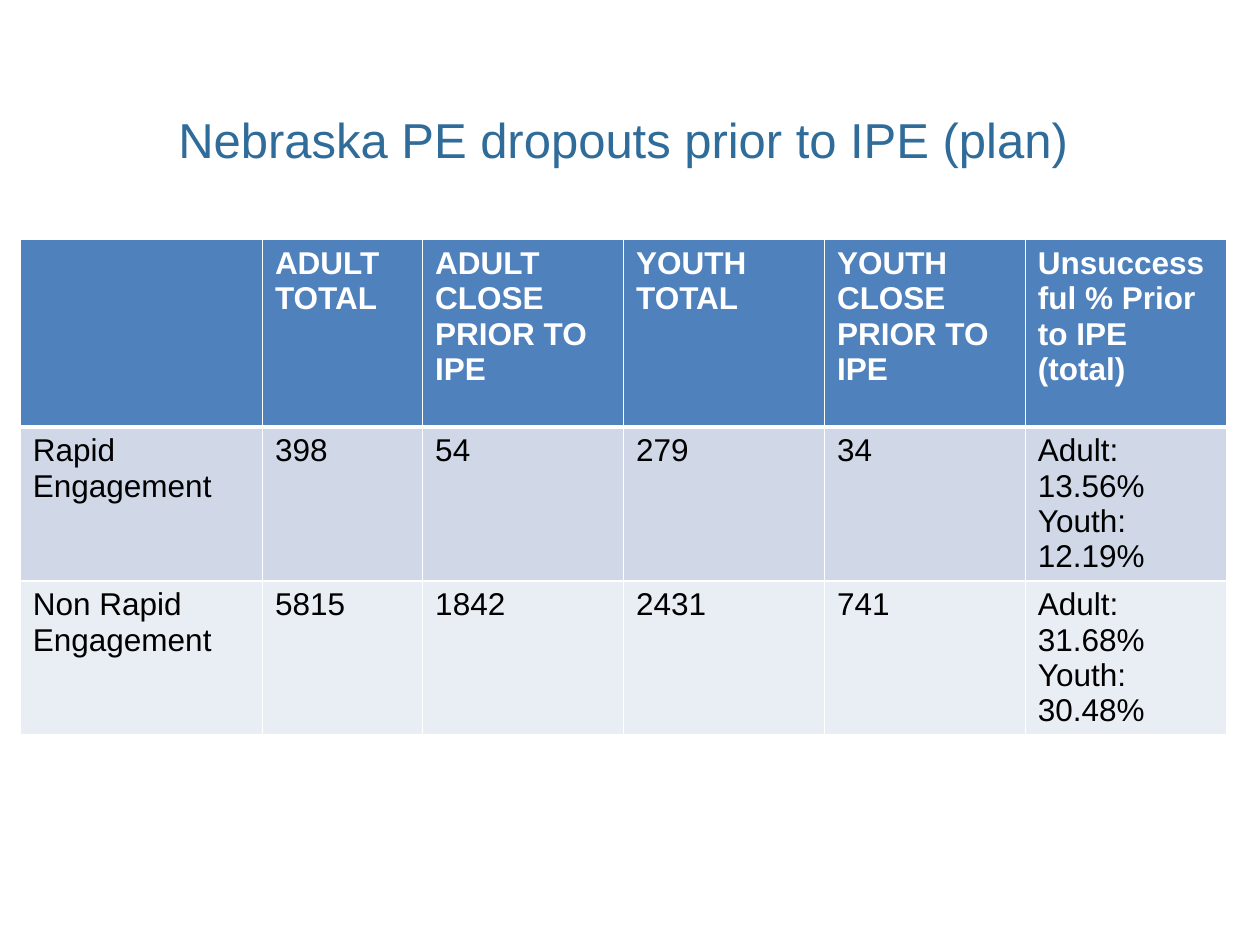
import lxml.etree
import pptx
import pptx.dml.color
import pptx.enum.text
import pptx.oxml.ns
import pptx.util
from pptx.util import Cm

FONT = "Arial"
WHITE = "FFFFFF"
ROW_FILLS = ["4F81BD", "D0D8E8", "E9EDF4"]
ROW_HEIGHTS = [3.78, 3.1, 3.1]
COLUMN_WIDTHS = [4.88, 3.23] + [4.05] * 4
ROWS = [
    ["", "ADULT TOTAL", "ADULT CLOSE PRIOR TO IPE", "YOUTH TOTAL",
     "YOUTH CLOSE PRIOR TO IPE", "Unsuccessful % Prior to IPE (total)"],
    ["Rapid Engagement", "398", "54", "279", "34",
     "Adult: 13.56%\nYouth: 12.19%"],
    ["Non Rapid Engagement", "5815", "1842", "2431", "741",
     "Adult: 31.68%\nYouth: 30.48%"],
]


def color(value):
    return pptx.dml.color.RGBColor.from_string(value)


def format_text(frame, size, value, bold=False):
    for para in frame.paragraphs:
        for span in para.runs:
            span.font.name = FONT
            span.font.size = pptx.util.Pt(size)
            span.font.bold = bold
            span.font.color.rgb = color(value)


def set_borders(cell, **widths):
    """Draw white cell borders; widths are points for L, R, T and B."""
    properties = cell._tc.get_or_add_tcPr()
    for index, (side, width) in enumerate(widths.items()):
        line = lxml.etree.Element(pptx.oxml.ns.qn(f"a:ln{side}"),
                                  w=str(pptx.util.Pt(width)))
        fill = lxml.etree.SubElement(line, pptx.oxml.ns.qn("a:solidFill"))
        lxml.etree.SubElement(fill, pptx.oxml.ns.qn("a:srgbClr"), val=WHITE)
        properties.insert(index, line)


def add_title(page, left, top, width, height):
    title = page.shapes.title
    title.left, title.top, title.width, title.height = left, top, width, height
    frame = title.text_frame
    frame.text = "Nebraska PE dropouts prior to IPE (plan)"
    frame.word_wrap = True
    frame.vertical_anchor = pptx.enum.text.MSO_ANCHOR.TOP
    frame.margin_top = Cm(0.18)
    frame.paragraphs[0].alignment = pptx.enum.text.PP_ALIGN.CENTER
    format_text(frame, 28, "306C99")


def add_dropout_table(page, left, top):
    table = page.shapes.add_table(
        len(ROWS), len(COLUMN_WIDTHS), left, top,
        Cm(sum(COLUMN_WIDTHS)), Cm(sum(ROW_HEIGHTS))).table
    for column, width in zip(table.columns, COLUMN_WIDTHS):
        column.width = Cm(width)
    for index, (row, height) in enumerate(zip(table.rows, ROW_HEIGHTS)):
        row.height = Cm(height)
        header = index == 0
        for cell, text in zip(row.cells, ROWS[index]):
            cell.text_frame.text = text
            format_text(cell.text_frame, 18,
                        WHITE if header else "000000", header)
            cell.fill.solid()
            cell.fill.fore_color.rgb = color(ROW_FILLS[index])
            set_borders(cell, L=1, R=1, T=3 if index == 1 else 1,
                        B=3 if header else 1)


def main():
    deck = pptx.Presentation()
    deck.slide_width, deck.slide_height = Cm(25.4), Cm(19.05)
    page = deck.slides.add_slide(deck.slide_layouts.get_by_name("Title Only"))
    add_title(page, Cm(0.71), Cm(2.03), Cm(23.7), Cm(3.18))
    add_dropout_table(page, Cm(0.41), Cm(4.83))
    deck.save("out.pptx")


if __name__ == "__main__":
    main()
